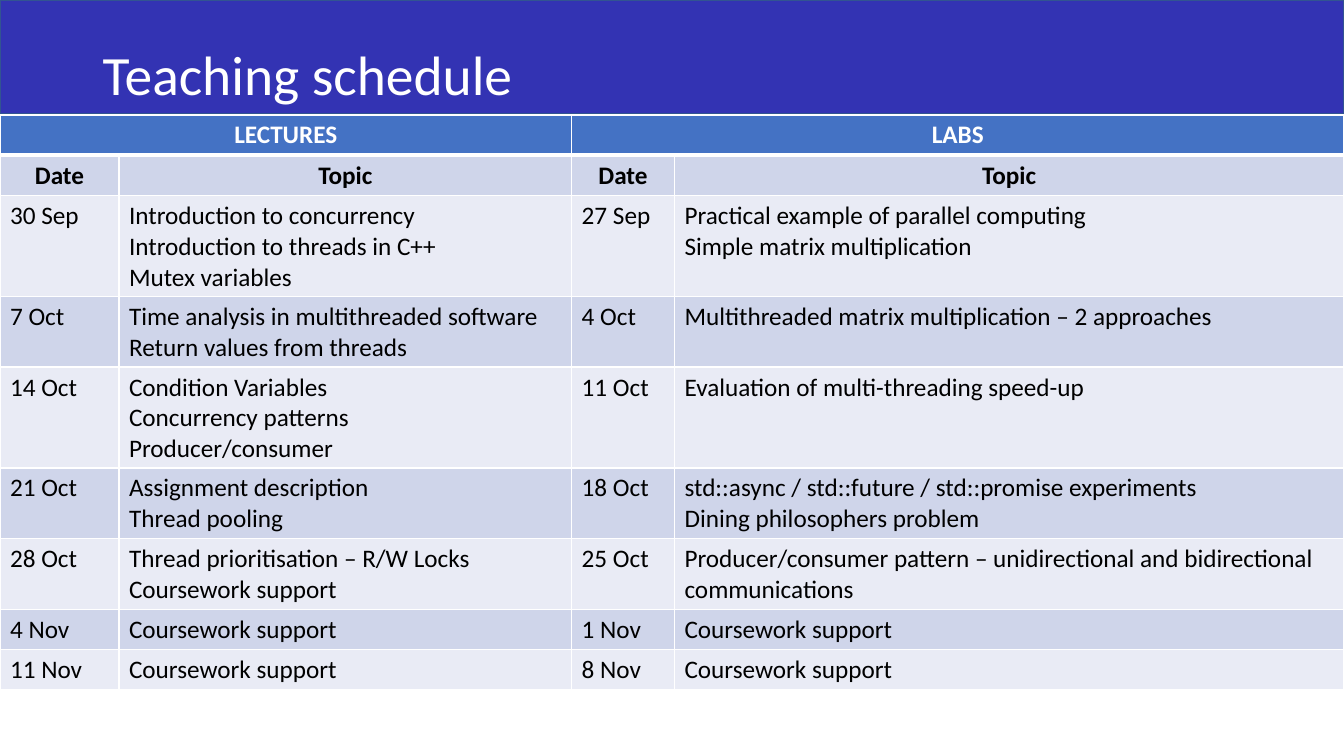
"""Build the teaching schedule slide with its table of lectures and labs."""
import pptx
import pptx.util
import pptx.dml.color
import pptx.enum.shapes
import pptx.enum.text
import pptx.oxml
import pptx.oxml.ns

Inches, Pt = pptx.util.Inches, pptx.util.Pt
ALIGN = pptx.enum.text.PP_ALIGN
FONT = "Calibri"
COLORS = {
    "banner": "3333B3", "edge": "325491", "head": "4472C4", "white": "FFFFFF",
    "dark": "CFD5EA", "light": "E9EBF5", "text": "000000",
}
TITLE = "Teaching schedule"
WIDTHS = [1.18, 4.49, 1.02, 6.64]
HELP = "Coursework support"
ROWS = [
    ("LECTURES", "", "LABS", ""),
    ("Date", "Topic", "Date", "Topic"),
    ("30 Sep",
     "Introduction to concurrency\vIntroduction to threads in C++\nMutex variables",
     "27 Sep",
     "Practical example of parallel computing\nSimple matrix multiplication"),
    ("7 Oct",
     "Time analysis in multithreaded software\nReturn values from threads",
     "4 Oct", "Multithreaded matrix multiplication – 2 approaches"),
    ("14 Oct", "Condition Variables\nConcurrency patterns\nProducer/consumer",
     "11 Oct", "Evaluation of multi-threading speed-up"),
    ("21 Oct", "Assignment description\nThread pooling",
     "18 Oct",
     "std::async / std::future / std::promise experiments\n"
     "Dining philosophers problem"),
    ("28 Oct", "Thread prioritisation – R/W Locks\n" + HELP,
     "25 Oct",
     "Producer/consumer pattern – unidirectional and bidirectional communications"),
    ("4 Nov", HELP, "1 Nov", HELP),
    ("11 Nov", HELP, "8 Nov", HELP),
]


def rgb(name):
    return pptx.dml.color.RGBColor.from_string(COLORS[name])


def style(frame, size, color, bold=False, align=ALIGN.LEFT):
    for para in frame.paragraphs:
        para.alignment = align
        for run in para.runs:
            run.font.name, run.font.size = FONT, Pt(size)
            run.font.bold = bold
            run.font.color.rgb = rgb(color)


def border(cell, row):
    thick = {(0, "B"), (1, "T")}
    for side in "LRTB":
        width = Pt(3 if (row, side) in thick else 1)
        cell._tc.get_or_add_tcPr().append(pptx.oxml.parse_xml(
            f'<a:ln{side} {pptx.oxml.ns.nsdecls("a")} w="{width}"><a:solidFill>'
            f'<a:srgbClr val="{COLORS["white"]}"/></a:solidFill></a:ln{side}>'))


deck = pptx.Presentation()
deck.slide_width, deck.slide_height = Inches(13.33), Inches(7.5)
slide = deck.slides.add_slide(deck.slide_layouts[6])

banner = slide.shapes.add_shape(
    pptx.enum.shapes.MSO_SHAPE.RECTANGLE, 0, 0, deck.slide_width, Inches(1.13))
banner.shadow.inherit = False
banner.fill.solid()
banner.fill.fore_color.rgb = rgb("banner")
banner.line.color.rgb = rgb("edge")
banner.line.width = Pt(1)

title = slide.shapes.add_textbox(
    Inches(0.92), Inches(0.4), Inches(11.5), Inches(0.73)).text_frame
title.word_wrap = True
title.vertical_anchor = pptx.enum.text.MSO_ANCHOR.MIDDLE
title.text = TITLE
title.paragraphs[0].line_spacing = 0.9
style(title, 39.6, "white")

lines = [max(len(text.splitlines()) for text in row) for row in ROWS]
heights = [0.1 + 0.3 * count for count in lines]
table = slide.shapes.add_table(
    len(ROWS), len(WIDTHS), 0, Inches(1.14),
    deck.slide_width, Inches(sum(heights))).table
for column, width in zip(table.columns, WIDTHS):
    column.width = Inches(width)
for line, height in zip(table.rows, heights):
    line.height = Inches(height)

for r, row in enumerate(ROWS):
    fill = "head" if r == 0 else "dark" if r % 2 else "light"
    for c, text in enumerate(row):
        cell = table.cell(r, c)
        border(cell, r)
        cell.fill.solid()
        cell.fill.fore_color.rgb = rgb(fill)
        cell.text_frame.text = text
        style(cell.text_frame, 18, "text" if r else "white", r < 2,
              ALIGN.CENTER if r < 2 else ALIGN.LEFT)
for c in (0, 2):
    table.cell(0, c).merge(table.cell(0, c + 1))

deck.save("out.pptx")
